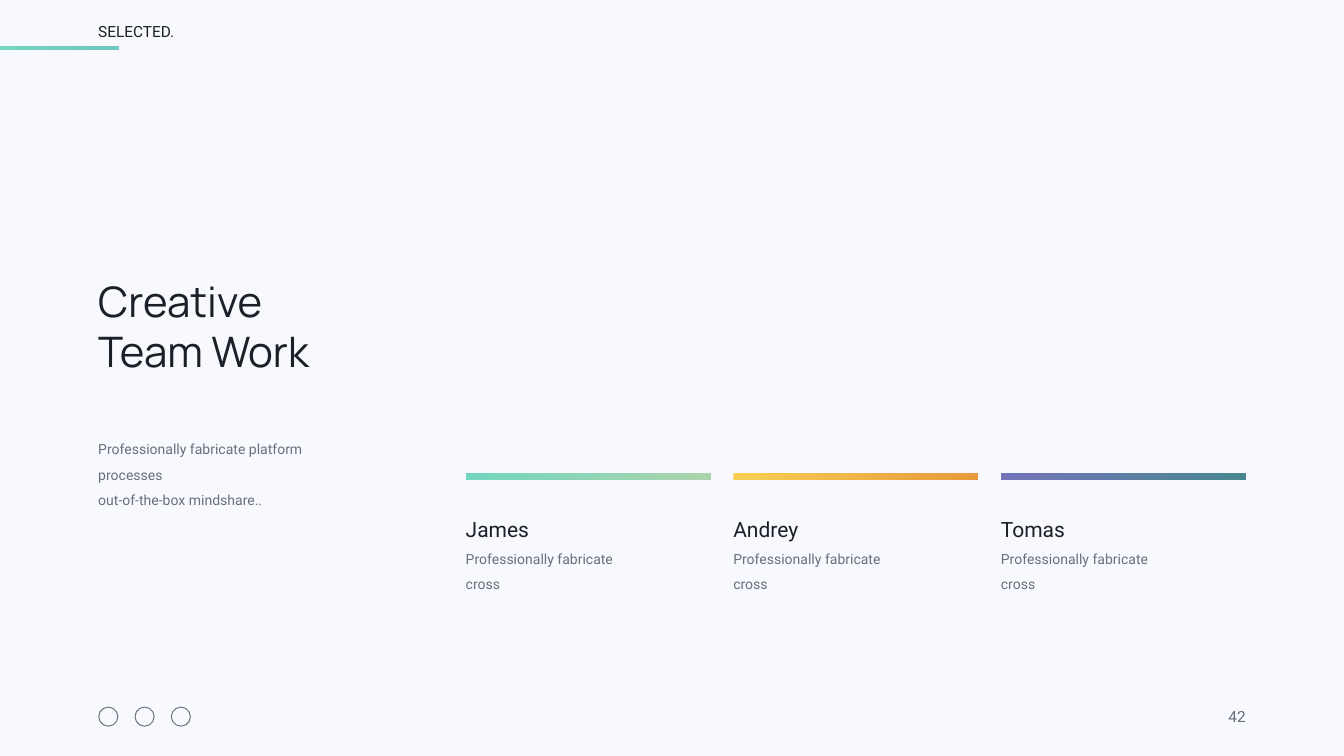
from dataclasses import dataclass
from typing import NamedTuple

from pptx import Presentation
from pptx.dml.color import RGBColor
from pptx.enum.shapes import MSO_SHAPE
from pptx.enum.text import MSO_ANCHOR, MSO_AUTO_SIZE, PP_ALIGN
from pptx.util import Inches, Pt

WIDTH, HEIGHT = Inches(26.67), Inches(15)
INK, GREY, PAPER = "1C1F25", "6A6E77", "F7F9FF"
MARGIN, COLUMN, GUTTER = 7.31, 18.22, 1.69
RIGHT = 100 - MARGIN


class Frame(NamedTuple):
    """Left, top, width and height in percent of the slide."""
    left: float
    top: float
    width: float
    height: float


class Line(NamedTuple):
    """One paragraph with its size in points and its colour."""
    words: str
    size: float
    colour: str


@dataclass(frozen=True)
class Member:
    """A team member and the gradient of the bar above the name."""
    name: str
    start: str
    end: str


TEAM = (
    Member("James", "72D6BE", "ACD4AC"),
    Member("Andrey", "F7CE55", "E79A3B"),
    Member("Tomas", "7474BA", "48878F"),
)


def rgb(value: str) -> RGBColor:
    """Turn a hex string into a colour."""
    return RGBColor.from_string(value)


def place(frame: Frame) -> tuple[int, int, int, int]:
    """Turn percentages into slide lengths."""
    return (int(WIDTH * frame.left / 100), int(HEIGHT * frame.top / 100),
            int(WIDTH * frame.width / 100), int(HEIGHT * frame.height / 100))


def add_text(slide, frame: Frame, lines: list[Line], *, font: str = "Roboto",
             align=PP_ALIGN.LEFT, anchor=MSO_ANCHOR.TOP, spacing: float = 1.0) -> None:
    """Write paragraphs in a text box without insets."""
    body = slide.shapes.add_textbox(*place(frame)).text_frame
    body.margin_left = body.margin_right = body.margin_top = body.margin_bottom = 0
    body.word_wrap = True
    body.auto_size = MSO_AUTO_SIZE.SHAPE_TO_FIT_TEXT
    body.vertical_anchor = anchor
    for index, line in enumerate(lines):
        paragraph = body.add_paragraph() if index else body.paragraphs[0]
        paragraph.alignment = align
        if spacing != 1:
            paragraph.line_spacing = spacing
        run = paragraph.add_run()
        run.text = line.words
        run.font.name = font
        run.font.size = Pt(line.size)
        run.font.color.rgb = rgb(line.colour)


def add_bar(slide, frame: Frame, start: str, end: str) -> None:
    """Draw a bar with a gradient from left to right."""
    bar = slide.shapes.add_shape(MSO_SHAPE.RECTANGLE, *place(frame))
    bar.shadow.inherit = False
    bar.line.fill.background()
    bar.fill.gradient()
    bar.fill.gradient_angle = 0
    for stop, colour, position in zip(bar.fill.gradient_stops, (start, end), (0, 1)):
        stop.color.rgb = rgb(colour)
        stop.position = position


def add_ring(slide, frame: Frame) -> None:
    """Draw a plain ring for a social link."""
    ring = slide.shapes.add_shape(MSO_SHAPE.OVAL, *place(frame))
    ring.shadow.inherit = False
    ring.fill.background()
    ring.line.color.rgb = rgb(GREY)
    ring.line.width = Pt(1.4)


def add_member(slide, member: Member, index: int) -> None:
    """Draw one team column, counted from the left."""
    left = RIGHT - len(TEAM) * COLUMN - (len(TEAM) - 1) * GUTTER + index * (COLUMN + GUTTER)
    add_bar(slide, Frame(left, 62.6, COLUMN, 0.93), member.start, member.end)
    add_text(slide, Frame(left, 66.67, 13.57, 7.8),
             [Line(member.name, 30, INK),
              Line("Professionally fabricate cross", 20, GREY)], spacing=1.5)


def main() -> None:
    """Build the team slide and save it."""
    deck = Presentation()
    deck.slide_width, deck.slide_height = WIDTH, HEIGHT
    slide = deck.slides.add_slide(deck.slide_layouts[6])
    slide.background.fill.solid()
    slide.background.fill.fore_color.rgb = rgb(PAPER)

    for index in range(3):
        add_ring(slide, Frame(MARGIN + 0.04 + index * 2.7, 93.53, 1.42, 2.53))
    add_text(slide, Frame(RIGHT - 3, 93.53, 3, 2.67), [Line("42", 22, GREY)],
             align=PP_ALIGN.RIGHT)
    add_text(slide, Frame(MARGIN, 2.87, 6, 2.67), [Line("SELECTED.", 22, INK)])
    add_bar(slide, Frame(0, 6.13, 8.85, 0.47), "72D6BE", "72C6C2")

    for index, member in enumerate(TEAM):
        add_member(slide, member, index)

    add_text(slide, Frame(MARGIN, 36.8, 16.65, 12.93),
             [Line("Creative", 60, INK), Line("Team Work", 60, INK)],
             font="Manrope", anchor=MSO_ANCHOR.BOTTOM)
    add_text(slide, Frame(MARGIN, 57.2, 20, 6),
             [Line("Professionally fabricate platform processes", 20, GREY),
              Line("out-of-the-box mindshare..", 20, GREY)], spacing=1.5)
    deck.save("out.pptx")


if __name__ == "__main__":
    main()
